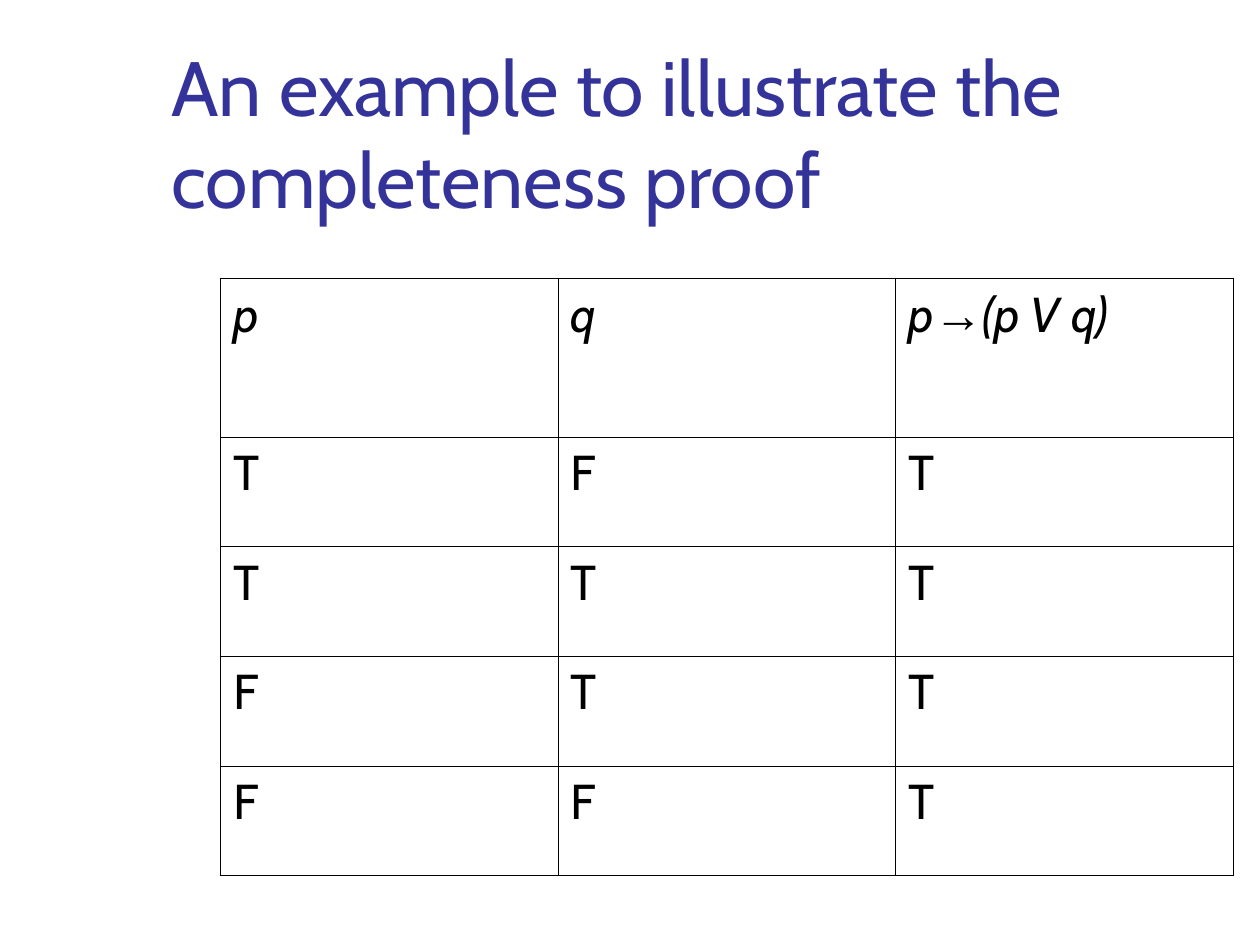
from dataclasses import dataclass

from lxml import etree
from pptx import Presentation
from pptx.dml.color import RGBColor
from pptx.enum.text import MSO_ANCHOR, MSO_AUTO_SIZE, PP_ALIGN
from pptx.oxml.ns import qn
from pptx.util import Inches, Pt

BOTTOM = MSO_ANCHOR.BOTTOM
LEFT = PP_ALIGN.LEFT
NO_AUTOFIT = MSO_AUTO_SIZE.NONE
TITLE_ONLY = 5


@dataclass(frozen=True)
class Theme:
    font: str = "Cabin"
    symbol_font: str = "Arial"
    title_color: str = "333399"
    ink: str = "000000"
    title_size: int = 44
    cell_size: int = 28
    outer_line: float = 1.08
    inner_line: float = 0.45


@dataclass(frozen=True)
class Row:
    height: float
    cells: tuple[str, ...]
    italic: bool = False


THEME = Theme()
ARROW = "→"
COLUMN_WIDTH = 2.68
HEADER_HEIGHT, VALUE_HEIGHT = 1.26, 0.87
TRUTH_VALUES = ("TFT", "TTT", "FTT", "FFT")
ROWS = [Row(HEADER_HEIGHT, ("p", "q", "p→(p V q)"), italic=True)]
ROWS += [Row(VALUE_HEIGHT, tuple(values)) for values in TRUTH_VALUES]


def style_font(font, size: int, color: str, italic: bool = False) -> None:
    font.name = THEME.font
    font.size = Pt(size)
    font.color.rgb = RGBColor.from_string(color)
    font.italic = italic


def add_border(cell, side: str, width: float) -> None:
    properties = cell._tc.get_or_add_tcPr()
    line = etree.SubElement(properties, qn(f"a:ln{side}"), w=str(Pt(width)))
    fill = etree.SubElement(line, qn("a:solidFill"))
    etree.SubElement(fill, qn("a:srgbClr"), val=THEME.ink)


def write_cell(cell, text: str, italic: bool) -> None:
    para = cell.text_frame.paragraphs[0]
    style_font(para.font, THEME.cell_size, THEME.ink, italic)
    before, arrow, after = text.partition(ARROW)
    for part in filter(None, (before, arrow, after)):
        span = para.add_run()
        span.text = part
        if part == ARROW:
            span.font.name = THEME.symbol_font


def add_title(page, text: str) -> None:
    title = page.shapes.title
    title.left, title.top = Inches(1.26), Inches(0.23)
    title.width, title.height = Inches(8.52), Inches(1.6)
    frame = title.text_frame
    frame.text = text
    frame.word_wrap = True
    frame.auto_size = NO_AUTOFIT
    frame.vertical_anchor = BOTTOM
    para = frame.paragraphs[0]
    para.alignment = LEFT
    style_font(para.font, THEME.title_size, THEME.title_color)


def add_truth_table(page, rows: list[Row]) -> None:
    row_count, column_count = len(rows), len(rows[0].cells)
    table = page.shapes.add_table(
        row_count, column_count, Inches(1.75), Inches(2.21),
        Inches(COLUMN_WIDTH * column_count),
        Inches(sum(row.height for row in rows)),
    ).table
    table.first_row = table.horz_banding = False
    for column in table.columns:
        column.width = Inches(COLUMN_WIDTH)
    for r, row in enumerate(rows):
        table.rows[r].height = Inches(row.height)
        for c, text in enumerate(row.cells):
            cell = table.cell(r, c)
            write_cell(cell, text, row.italic)
            # Heavier lines run around the outside of the grid
            outer_sides = {
                "L": c == 0,
                "R": c == column_count - 1,
                "T": r == 0,
                "B": r == row_count - 1,
            }
            for side, is_outer in outer_sides.items():
                add_border(cell, side, THEME.outer_line if is_outer else THEME.inner_line)
            cell.fill.background()


def main() -> None:
    deck = Presentation()
    deck.slide_width, deck.slide_height = Inches(10), Inches(7.5)
    page = deck.slides.add_slide(deck.slide_layouts[TITLE_ONLY])

    # Heading
    add_title(page, "An example to illustrate the completeness proof")

    # Truth table
    add_truth_table(page, ROWS)

    deck.save("out.pptx")


if __name__ == "__main__":
    main()
